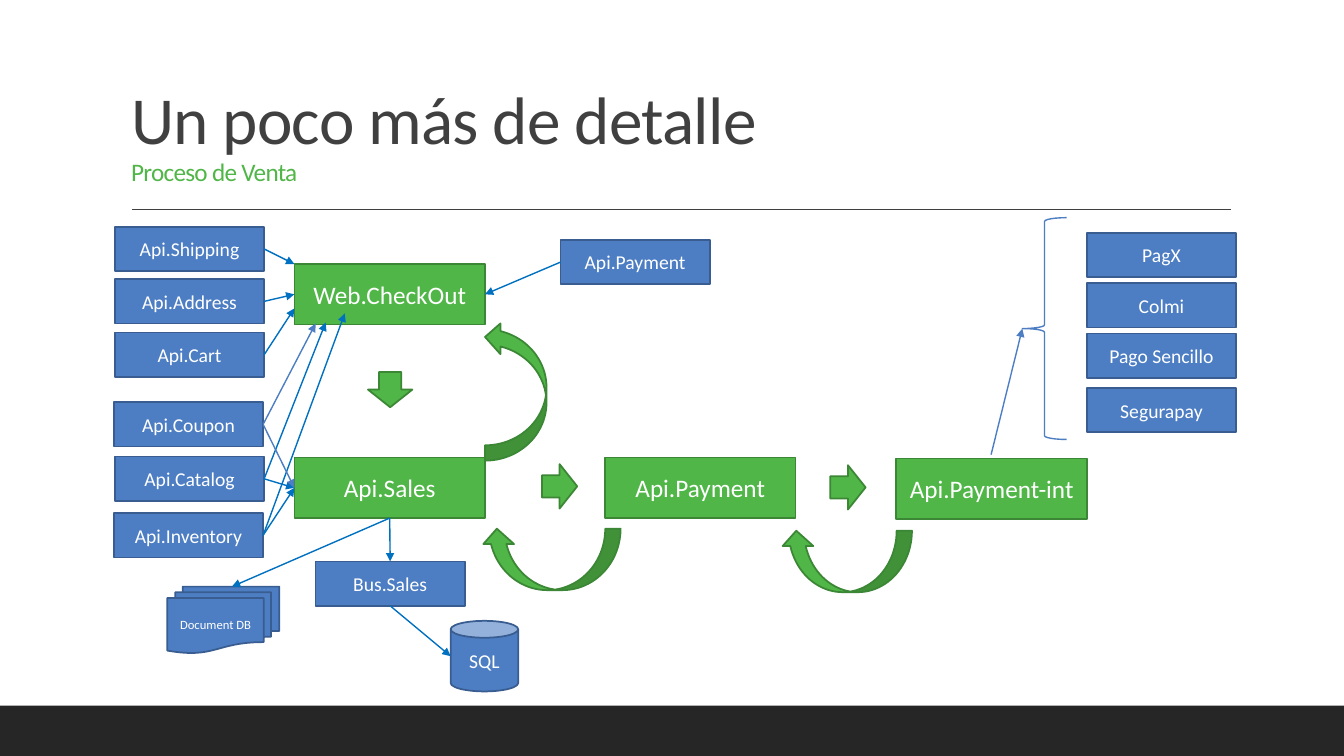
from pptx import Presentation
from pptx.dml.color import RGBColor
from pptx.enum.shapes import MSO_CONNECTOR, MSO_SHAPE as Shape
from pptx.enum.text import MSO_ANCHOR, PP_ALIGN
from pptx.oxml.ns import qn
from pptx.util import Inches, Pt
from lxml.etree import SubElement

FONT = "Calibri"
COLORS = {
    "dark": "404040", "footer": "262626", "white": "FFFFFF",
    "green": "50B647", "green edge": "3B8735",
    "blue": "4D7EC3", "blue edge": "395D90", "link": "0070C0",
}
TITLE, SUBTITLE = "Un poco más de detalle", "Proceso de Venta"

# Fill colour: (width, height, text size)
BOX_STYLES = {"green": (1.89, 0.6, 18), "blue": (1.48, 0.44, 14)}
# key: (text, colour, left, top)
BOXES = {
    "checkout": ("Web.CheckOut", "green", 2.92, 2.62),
    "sales": ("Api.Sales", "green", 2.92, 4.54),
    "payment": ("Api.Payment", "green", 6, 4.54),
    "integration": ("Api.Payment-int", "green", 8.89, 4.55),
    "shipping": ("Api.Shipping", "blue", 1.14, 2.25),
    "address": ("Api.Address", "blue", 1.14, 2.77),
    "cart": ("Api.Cart", "blue", 1.14, 3.3),
    "coupon": ("Api.Coupon", "blue", 1.13, 3.99),
    "catalog": ("Api.Catalog", "blue", 1.14, 4.53),
    "inventory": ("Api.Inventory", "blue", 1.13, 5.09),
    "payment methods": ("Api.Payment", "blue", 5.56, 2.38),
    "bus": ("Bus.Sales", "blue", 3.13, 5.57),
    "gateway 1": ("PagX", "blue", 10.78, 2.31),
    "gateway 2": ("Colmi", "blue", 10.78, 2.81),
    "gateway 3": ("Pago Sencillo", "blue", 10.78, 3.31),
    "gateway 4": ("Segurapay", "blue", 10.78, 3.85),
}
# shape, text, text size, left, top, width, height
STORES = [
    (Shape.FLOWCHART_MULTIDOCUMENT, "Document DB", 9, 1.66, 5.82, 1.11, 0.66),
    (Shape.CAN, "SQL", 14, 4.47, 6.16, 0.67, 0.7),
]
# shape, left, top, width, height, rotation, mirrored
FLOW_ARROWS = [
    (Shape.DOWN_ARROW, 3.65, 3.69, 0.44, 0.35, 0, False),
    (Shape.DOWN_ARROW, 5.33, 4.65, 0.44, 0.35, 270, False),
    (Shape.DOWN_ARROW, 8.19, 4.66, 0.44, 0.35, 270, False),
    (Shape.CURVED_LEFT_ARROW, 8.09, 4.92, 0.61, 1.3, 90, False),
    (Shape.CURVED_LEFT_ARROW, 5.16, 4.86, 0.61, 1.38, 90, False),
    (Shape.CURVED_LEFT_ARROW, 4.81, 3.19, 0.61, 1.38, 180, True),
]
TOP, LEFT, BOTTOM, RIGHT = range(4)
# Each end is either (box key, side) or a point (x, y)
LINKS = [
    (("shipping", RIGHT), (2.92, 2.62), "link"),
    (("address", RIGHT), ("checkout", LEFT), "link"),
    (("cart", RIGHT), (2.92, 3.06), "link"),
    (("payment methods", LEFT), ("checkout", RIGHT), "link"),
    (("catalog", RIGHT), (3.23, 3.2), "link"),
    (("inventory", RIGHT), (3.42, 3.11), "link"),
    (("catalog", RIGHT), ("sales", LEFT), "link"),
    (("inventory", RIGHT), ("sales", LEFT), "link"),
    (("sales", BOTTOM), ("bus", TOP), "link"),
    (("sales", BOTTOM), (2.3, 5.82), "link"),
    (("bus", BOTTOM), (4.47, 6.51), "link"),
    ((9.83, 4.51), (10.14, 3.26), "blue"),
    (("coupon", RIGHT), (3.13, 3.21), "blue"),
    (("coupon", RIGHT), ("sales", LEFT), "blue"),
]


def rgb(name):
    return RGBColor.from_string(COLORS[name])


def style_run(run, size, color):
    run.font.name = FONT
    run.font.size = Pt(size)
    run.font.color.rgb = rgb(color)


def add_filled(page, kind, place, color, text="", size=14):
    """Add a shape with a darker edge and, if given, a centred label."""
    shape = page.shapes.add_shape(kind, *map(Inches, place))
    shape.shadow.inherit = False
    shape.fill.solid()
    shape.fill.fore_color.rgb = rgb(color)
    shape.line.color.rgb = rgb(color + " edge")
    shape.line.width = Pt(1.25)
    if text:
        frame = shape.text_frame
        frame.text = text
        frame.word_wrap = True
        frame.vertical_anchor = MSO_ANCHOR.MIDDLE
        para = frame.paragraphs[0]
        para.alignment = PP_ALIGN.CENTER
        style_run(para.runs[0], size, "white")
    return shape


def add_line(page, start, end, color):
    line = page.shapes.add_connector(
        MSO_CONNECTOR.STRAIGHT, *map(Inches, (*start, *end)))
    line.line.color.rgb = rgb(color)
    line.line.width = Pt(1)
    SubElement(line.element.spPr, qn("a:effectLst"))
    return line


def add_link(page, boxes, start, end, color):
    """Draw an arrow, joining each end that names a box to that box."""
    points = [(0, 0) if stop[0] in boxes else stop for stop in (start, end)]
    link = add_line(page, *points, color)
    for stop, connect in ((start, link.begin_connect), (end, link.end_connect)):
        if stop[0] in boxes:
            connect(boxes[stop[0]], stop[1])
    SubElement(link.line._get_or_add_ln(), qn("a:tailEnd"), type="triangle")


def add_title(page):
    title = page.shapes.title
    title.left, title.top, title.width, title.height = map(
        Inches, (1.2, 0.31, 11, 1.59))
    frame = title.text_frame
    frame.text = f"{TITLE}\v{SUBTITLE}"
    frame.word_wrap = True
    frame.vertical_anchor = MSO_ANCHOR.BOTTOM
    para = frame.paragraphs[0]
    para.alignment = PP_ALIGN.LEFT
    para.line_spacing = 0.9
    for run, size, color in zip(para.runs, (48, 18), ("dark", "green")):
        style_run(run, size, color)
        run.font._element.set("spc", "-50")


def main():
    deck = Presentation()
    deck.slide_width, deck.slide_height = Inches(13.33), Inches(7.5)
    page = deck.slides.add_slide(deck.slide_layouts[5])

    footer = page.shapes.add_shape(
        Shape.RECTANGLE, 0, Inches(7), deck.slide_width, Inches(0.5))
    footer.shadow.inherit = False
    footer.fill.solid()
    footer.fill.fore_color.rgb = rgb("footer")
    footer.line.fill.background()
    add_line(page, (1.31, 2.08), (12.21, 2.08), "dark")
    add_title(page)

    boxes = {}
    for key, (text, color, left, top) in BOXES.items():
        width, height, size = BOX_STYLES[color]
        boxes[key] = add_filled(page, Shape.RECTANGLE,
                                (left, top, width, height), color, text, size)
    for kind, text, size, *place in STORES:
        add_filled(page, kind, place, "blue", text, size)
    for kind, *place, rotation, mirrored in FLOW_ARROWS:
        arrow = add_filled(page, kind, place, "green")
        arrow.rotation = rotation
        if mirrored:
            arrow.element.spPr.xfrm.set("flipH", "1")

    brace = page.shapes.add_shape(
        Shape.LEFT_BRACE, *map(Inches, (10.14, 2.16, 0.44, 2.2)))
    brace.shadow.inherit = False
    brace.fill.background()
    brace.line.color.rgb = rgb("blue")
    brace.line.width = Pt(1)

    for start, end, color in LINKS:
        add_link(page, boxes, start, end, color)
    deck.save("out.pptx")


if __name__ == "__main__":
    main()
